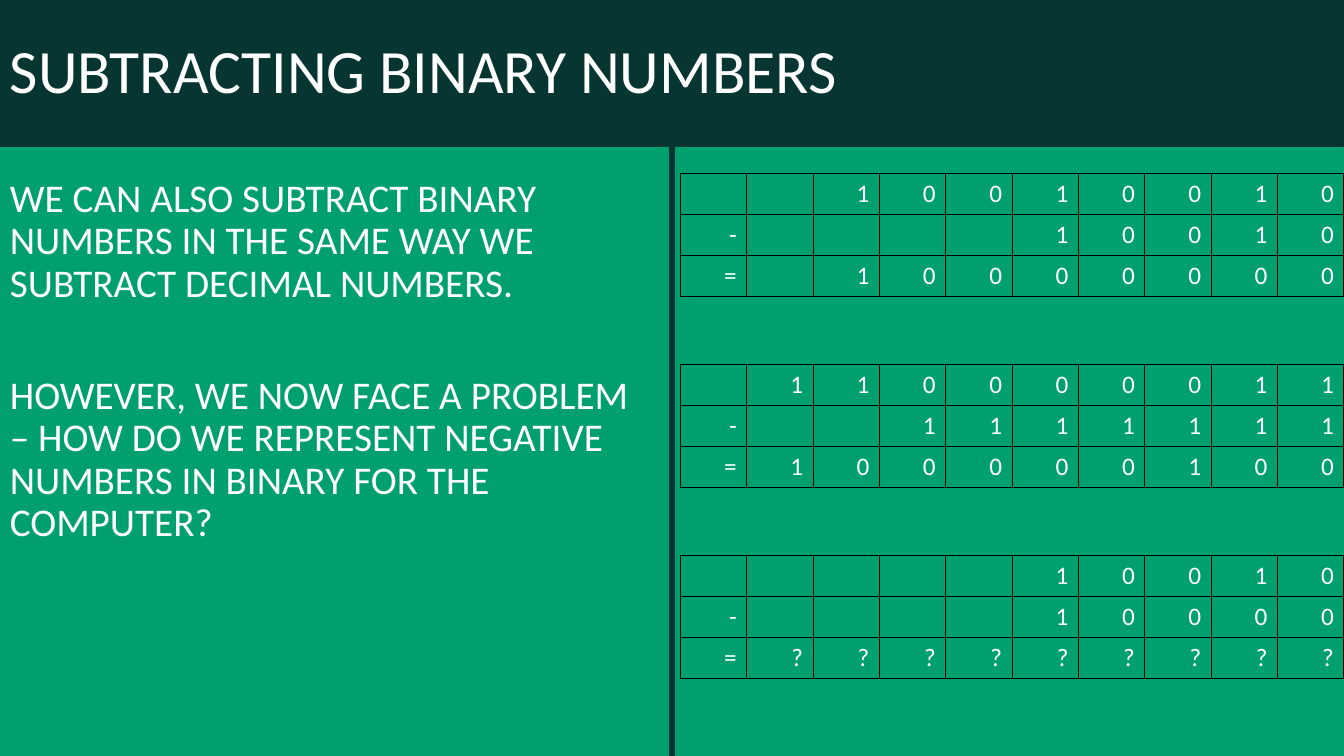
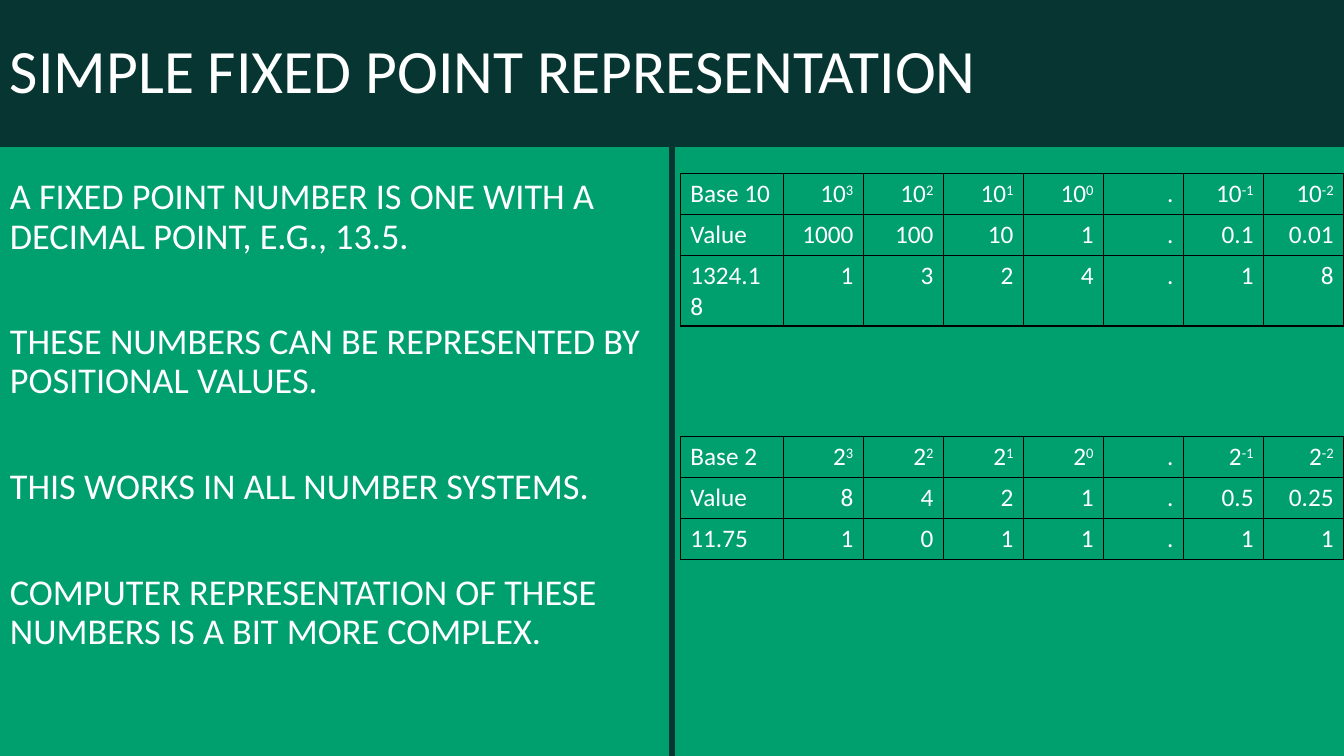
from lxml.etree import SubElement
from pptx import Presentation
from pptx.dml.color import RGBColor
from pptx.enum.shapes import MSO_CONNECTOR, MSO_SHAPE
from pptx.enum.text import MSO_ANCHOR, PP_ALIGN
from pptx.oxml.ns import qn
from pptx.util import Pt

COLORS = {"background": "00A06E", "band": "063532", "text": "FFFFFF", "grid": "000000"}
FONT = "Calibri"
SLIDE_WIDTH, SLIDE_HEIGHT = 960, 540
BAND_HEIGHT = 104.4
CONTENT_TOP = 124
COLUMN_WIDTH = 474
TABLE_LEFT = SLIDE_WIDTH - COLUMN_WIDTH
ROW_HEIGHT = 29.2
LINE_SPACING = 0.9
DIGIT_COLUMNS = 9

SUBTRACTIONS = [
    ("10010010", "10010", "10000000"),
    ("110000011", "1111111", "100000100"),
    ("10010", "10000", "?" * DIGIT_COLUMNS),
]
# A caret marks the start of an exponent.
FIXED_POINT_TABLES = [
    [
        ["Base 10", "10^3", "10^2", "10^1", "10^0", ".", "10^-1", "10^-2"],
        ["Value", "1000", "100", "10", "1", ".", "0.1", "0.01"],
        ["1324.18", "1", "3", "2", "4", ".", "1", "8"],
    ],
    [
        ["Base 2", "2^3", "2^2", "2^1", "2^0", ".", "2^-1", "2^-2"],
        ["Value", "8", "4", "2", "1", ".", "0.5", "0.25"],
        ["11.75", "1", "0", "1", "1", ".", "1", "1"],
    ],
]


def color(name):
    return RGBColor.from_string(COLORS[name])


def format_text(paragraph, size):
    for run in paragraph.runs:
        run.font.size = Pt(size)
        run.font.name = FONT
        run.font.color.rgb = color("text")


def add_divider(slide):
    divider = slide.shapes.add_connector(
        MSO_CONNECTOR.STRAIGHT,
        Pt(SLIDE_WIDTH / 2), Pt(BAND_HEIGHT), Pt(SLIDE_WIDTH / 2), Pt(SLIDE_HEIGHT))
    divider.line.color.rgb = color("band")
    divider.line.width = Pt(4)
    SubElement(divider.line._get_or_add_ln().getparent(), qn("a:effectLst"))


def add_title_band(slide, title):
    band = slide.shapes.add_shape(
        MSO_SHAPE.RECTANGLE, 0, 0, Pt(SLIDE_WIDTH), Pt(BAND_HEIGHT))
    band.shadow.inherit = False
    band.fill.solid()
    band.fill.fore_color.rgb = color("band")
    band.line.color.rgb = color("band")
    band.line.width = Pt(0.75)
    band.text_frame.text = title
    band.text_frame.vertical_anchor = MSO_ANCHOR.MIDDLE
    paragraph = band.text_frame.paragraphs[0]
    paragraph.alignment = PP_ALIGN.LEFT
    paragraph.line_spacing = LINE_SPACING
    format_text(paragraph, 44)


def add_statements(slide, statements, size, gap):
    frame = slide.shapes.add_textbox(
        0, Pt(CONTENT_TOP), Pt(COLUMN_WIDTH), Pt(401)).text_frame
    frame.word_wrap = True
    frame.text = "\n".join(statements)
    for index, paragraph in enumerate(frame.paragraphs):
        paragraph.line_spacing = LINE_SPACING
        if index:
            paragraph.space_before = Pt(gap)
        format_text(paragraph, size)


def add_cell_borders(cell):
    properties = cell._tc.get_or_add_tcPr()
    for position, side in enumerate(("lnL", "lnR", "lnT", "lnB")):
        border = properties.makeelement(qn(f"a:{side}"), {"w": str(Pt(1))})
        fill = SubElement(border, qn("a:solidFill"))
        SubElement(fill, qn("a:srgbClr"), val=COLORS["grid"])
        properties.insert(position, border)


def fill_cell(cell, content, alignment):
    """Write the content, raising whatever follows a caret."""
    cell.fill.background()
    add_cell_borders(cell)
    paragraph = cell.text_frame.paragraphs[0]
    paragraph.alignment = alignment
    base, _, exponent = content.partition("^")
    if base:
        paragraph.add_run().text = base
    if exponent:
        power = paragraph.add_run()
        power.text = exponent
        power._r.get_or_add_rPr().set("baseline", "30000")
    format_text(paragraph, 18)


def add_number_table(slide, top, rows, first_width, first_alignment):
    column_count = len(rows[0])
    table = slide.shapes.add_table(
        len(rows), column_count, Pt(TABLE_LEFT), Pt(top),
        Pt(COLUMN_WIDTH), Pt(ROW_HEIGHT * len(rows))).table
    table.first_row = table.horz_banding = False
    other_width = (COLUMN_WIDTH - first_width) / (column_count - 1)
    for index, column in enumerate(table.columns):
        column.width = Pt(other_width if index else first_width)
    for row, contents in zip(table.rows, rows):
        row.height = Pt(ROW_HEIGHT)
        for index, (cell, content) in enumerate(zip(row.cells, contents)):
            fill_cell(cell, content, PP_ALIGN.RIGHT if index else first_alignment)


def subtraction_rows(numbers):
    """Put each digit in its own column, aligned to the right after the sign."""
    return [
        [sign, *(digit.strip() for digit in number.rjust(DIGIT_COLUMNS))]
        for sign, number in zip(("", "-", "="), numbers)
    ]


def add_content_slide(prs, title, statements, size, gap):
    slide = prs.slides.add_slide(prs.slide_layouts[6])
    add_divider(slide)
    add_title_band(slide, title)
    add_statements(slide, statements, size, gap)
    return slide


def main():
    prs = Presentation()
    prs.slide_width, prs.slide_height = Pt(SLIDE_WIDTH), Pt(SLIDE_HEIGHT)
    background = prs.slide_master.background.fill
    background.solid()
    background.fore_color.rgb = color("background")

    subtracting = add_content_slide(prs, "SUBTRACTING BINARY NUMBERS", [
        "WE CAN ALSO SUBTRACT BINARY NUMBERS IN THE SAME WAY WE SUBTRACT DECIMAL NUMBERS.",
        "HOWEVER, WE NOW FACE A PROBLEM – HOW DO WE REPRESENT NEGATIVE NUMBERS "
        "IN BINARY FOR THE COMPUTER?",
    ], size=28, gap=50)
    for index, numbers in enumerate(SUBTRACTIONS):
        add_number_table(subtracting, CONTENT_TOP + 136.5 * index,
                         subtraction_rows(numbers), 47.4, PP_ALIGN.RIGHT)

    fixed_point = add_content_slide(prs, "SIMPLE FIXED POINT REPRESENTATION", [
        "A FIXED POINT NUMBER IS ONE WITH A DECIMAL POINT, E.G., 13.5.",
        "THESE NUMBERS CAN BE REPRESENTED BY POSITIONAL VALUES.",
        "THIS WORKS IN ALL NUMBER SYSTEMS.",
        "COMPUTER REPRESENTATION OF THESE NUMBERS IS A BIT MORE COMPLEX.",
    ], size=25.9, gap=47.6)
    for index, rows in enumerate(FIXED_POINT_TABLES):
        add_number_table(fixed_point, CONTENT_TOP + 188 * index,
                         rows, 73.6, PP_ALIGN.LEFT)

    prs.save("out.pptx")


if __name__ == "__main__":
    main()
